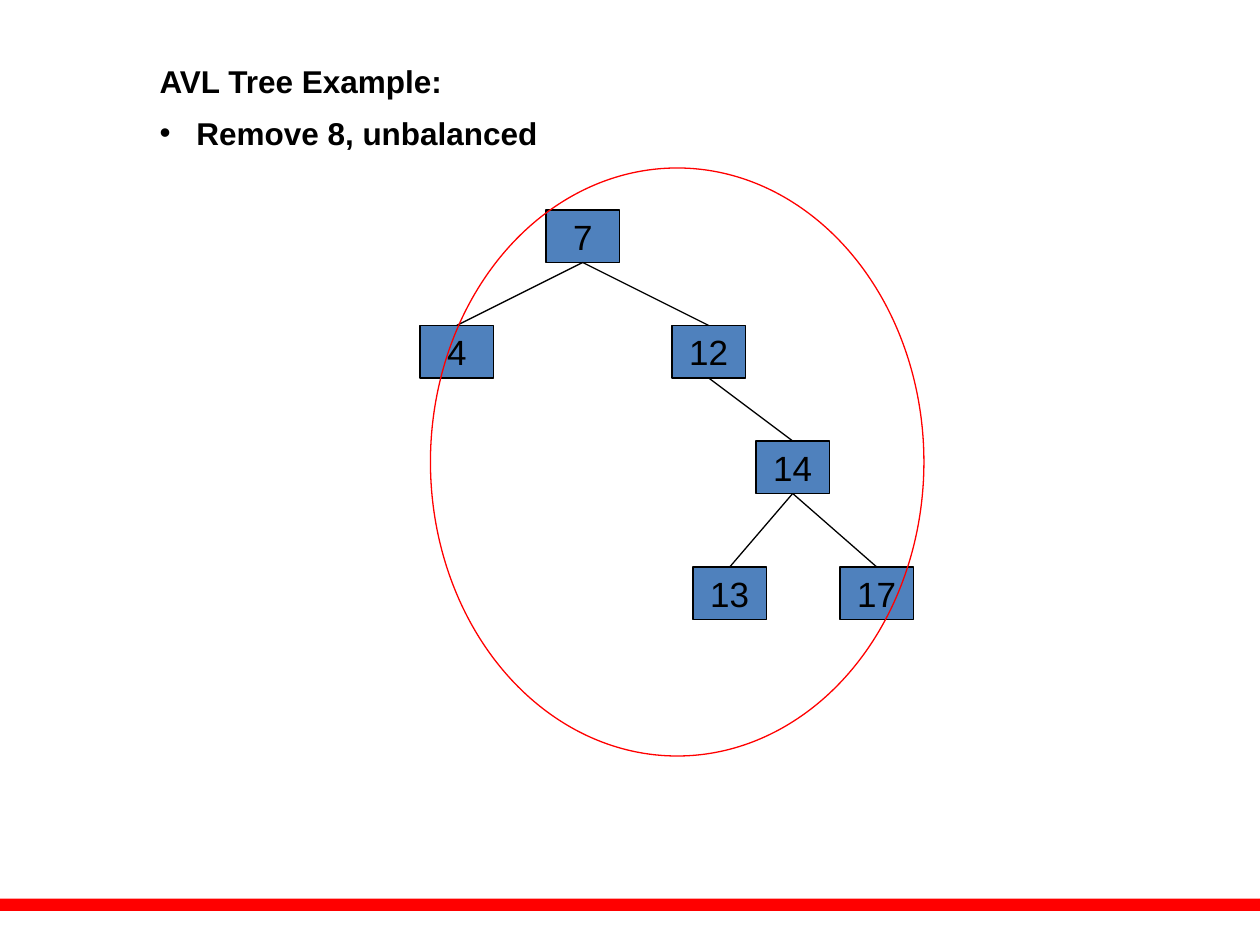
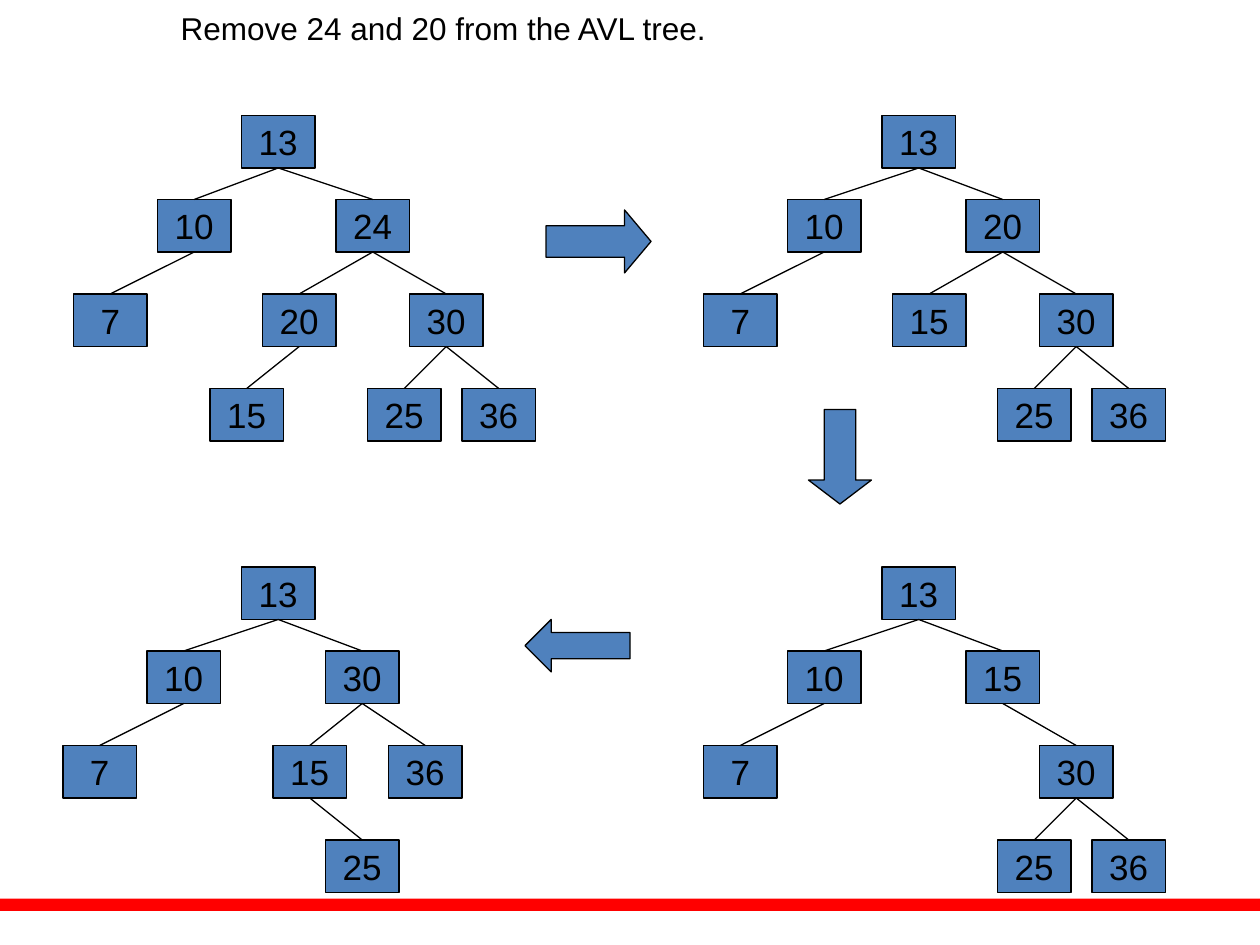
import lxml.etree
import pptx
import pptx.dml.color
import pptx.enum.shapes
import pptx.enum.text
import pptx.oxml.ns
import pptx.util

Pt = pptx.util.Pt
SHAPES = pptx.enum.shapes.MSO_SHAPE
ALIGN = pptx.enum.text.PP_ALIGN
FONT = "Arial"
COLOURS = {"text": "000000", "line": "000000", "node": "4F81BD", "accent": "FF0000"}
NODE_WIDTH, NODE_HEIGHT = 42, 30
TITLE_ONLY, TITLE_AND_LIST = 5, 1

# Each tree maps a value to (row, left within the tree, parent value).
UNBALANCED_TREE = {
    "7": (0, 72, None), "4": (1, 0, "7"), "12": (1, 144, "7"),
    "14": (2, 192, "12"), "13": (3, 156, "14"), "17": (3, 240, "14"),
}
FIRST_TREE = {
    "13": (0, 96, None), "10": (1, 48, "13"), "24": (1, 150, "13"),
    "7": (2, 0, "10"), "20": (2, 108, "24"), "30": (2, 192, "24"),
    "15": (3, 78, "20"), "25": (3, 168, "30"), "36": (3, 222, "30"),
}
WITHOUT_24 = {
    "13": (0, 102, None), "10": (1, 48, "13"), "20": (1, 150, "13"),
    "7": (2, 0, "10"), "15": (2, 108, "20"), "30": (2, 192, "20"),
    "25": (3, 168, "30"), "36": (3, 222, "30"),
}
WITHOUT_20 = {
    "13": (0, 102, None), "10": (1, 48, "13"), "15": (1, 150, "13"),
    "7": (2, 0, "10"), "30": (2, 192, "15"),
    "25": (3, 168, "30"), "36": (3, 222, "30"),
}
REBALANCED_TREE = {
    "13": (0, 102, None), "10": (1, 48, "13"), "30": (1, 150, "13"),
    "7": (2, 0, "10"), "15": (2, 120, "30"), "36": (2, 186, "30"),
    "25": (3, 150, "15"),
}


def colour(name):
    """Return the named colour."""
    return pptx.dml.color.RGBColor.from_string(COLOURS[name])


def set_format(target, **values):
    """Set each given attribute on the target."""
    for name, value in values.items():
        setattr(target, name, value)


def set_font(paragraph, size, bold=False):
    """Give a paragraph the shared font."""
    set_format(paragraph.font, name=FONT, size=Pt(size), bold=bold)
    paragraph.font.color.rgb = colour("text")


def add_figure(slide, kind, box, fill=None, line=None):
    """Add a preset shape in a box of left, top, width and height."""
    shape = slide.shapes.add_shape(kind, *map(Pt, box))
    shape.shadow.inherit = False
    if fill:
        shape.fill.solid()
        shape.fill.fore_color.rgb = colour(fill)
    else:
        shape.fill.background()
    if line:
        set_format(shape.line, width=Pt(0.75))
        shape.line.color.rgb = colour(line)
    else:
        shape.line.fill.background()
    return shape


def add_master_band(presentation, slide):
    """Put the bottom band on the slide master."""
    band = add_figure(slide, SHAPES.RECTANGLE, (0, 513.5, 720, 7), "accent")
    presentation.slide_master.shapes._spTree.append(band._element)


def fill_placeholder(placeholder, box, text, bold=False, margin=0, indent=0):
    """Move a placeholder to a box and write one line in it."""
    left, top, width, height = map(Pt, box)
    set_format(placeholder, left=left, top=top, width=width, height=height)
    frame = placeholder.text_frame
    frame.text = text
    set_format(frame, word_wrap=True,
               auto_size=pptx.enum.text.MSO_AUTO_SIZE.NONE,
               vertical_anchor=pptx.enum.text.MSO_ANCHOR.MIDDLE)
    paragraph = frame.paragraphs[0]
    set_format(paragraph, alignment=ALIGN.LEFT, space_before=Pt(0))
    properties = paragraph._p.get_or_add_pPr()
    properties.set("marL", str(Pt(margin)))
    properties.set("indent", str(Pt(indent)))
    set_font(paragraph, 18, bold)


def add_node(slide, left, top, value):
    """Add one tree node."""
    node = add_figure(slide, SHAPES.RECTANGLE,
                      (left, top, NODE_WIDTH, NODE_HEIGHT), "node", "line")
    frame = node.text_frame
    frame.text = value
    set_format(frame, word_wrap=False,
               vertical_anchor=pptx.enum.text.MSO_ANCHOR.MIDDLE)
    frame.paragraphs[0].alignment = ALIGN.CENTER
    set_font(frame.paragraphs[0], 20)
    return node


def add_edge(slide, parent, child):
    """Join the bottom of a parent to the top of its child."""
    edge = slide.shapes.add_connector(
        pptx.enum.shapes.MSO_CONNECTOR.STRAIGHT, 0, 0, 0, 0)
    edge.begin_connect(parent, 2)
    edge.end_connect(child, 0)
    edge.line.width = Pt(0.75)
    edge.line.color.rgb = colour("line")
    lxml.etree.SubElement(edge._element.spPr, pptx.oxml.ns.qn("a:effectLst"))


def add_tree(slide, left, top, tree, row_tops=(0, 48, 102, 156)):
    """Draw a tree from its top left corner."""
    nodes = {}
    for value, (row, offset, parent) in tree.items():
        nodes[value] = add_node(slide, left + offset, top + row_tops[row], value)
        if parent:
            add_edge(slide, nodes[parent], nodes[value])


def add_step_arrow(slide, kind, box, head):
    """Add a block arrow with the given head length."""
    arrow = add_figure(slide, kind, box, "node", "line")
    arrow.adjustments[0] = 0.5
    arrow.adjustments[1] = head


def build_unbalanced_slide(slide):
    """Build the slide with the unbalanced tree."""
    fill_placeholder(slide.shapes.title, (84, 31, 606, 30),
                     "AVL Tree Example:", bold=True)
    fill_placeholder(slide.placeholders[1], (84, 61, 606, 30),
                     "Remove 8, unbalanced", bold=True, margin=21, indent=-21)
    add_tree(slide, 240, 120, UNBALANCED_TREE, (0, 66, 132, 204))
    add_figure(slide, SHAPES.OVAL, (246, 96, 282, 336), line="accent")


def build_removal_slide(slide):
    """Build the slide with the four removal steps."""
    fill_placeholder(slide.shapes.title, (60, 1, 588, 30),
                     "Remove 24 and 20 from the AVL tree.", margin=36)
    for left, top, tree in (
        (42, 66, FIRST_TREE), (402, 66, WITHOUT_24),
        (402, 324, WITHOUT_20), (36, 324, REBALANCED_TREE),
    ):
        add_tree(slide, left, top, tree)
    for kind, box, head in (
        (SHAPES.RIGHT_ARROW, (312, 120, 60, 36), 0.42),
        (SHAPES.DOWN_ARROW, (462, 234, 36, 54), 0.38),
        (SHAPES.LEFT_ARROW, (300, 354, 60, 30), 0.5),
    ):
        add_step_arrow(slide, kind, box, head)


def main():
    """Build and save the presentation."""
    presentation = pptx.Presentation()
    set_format(presentation, slide_width=Pt(720), slide_height=Pt(540))
    layouts = presentation.slide_layouts
    unbalanced_slide = presentation.slides.add_slide(layouts[TITLE_AND_LIST])
    add_master_band(presentation, unbalanced_slide)
    build_unbalanced_slide(unbalanced_slide)
    build_removal_slide(presentation.slides.add_slide(layouts[TITLE_ONLY]))
    presentation.save("out.pptx")


if __name__ == "__main__":
    main()
